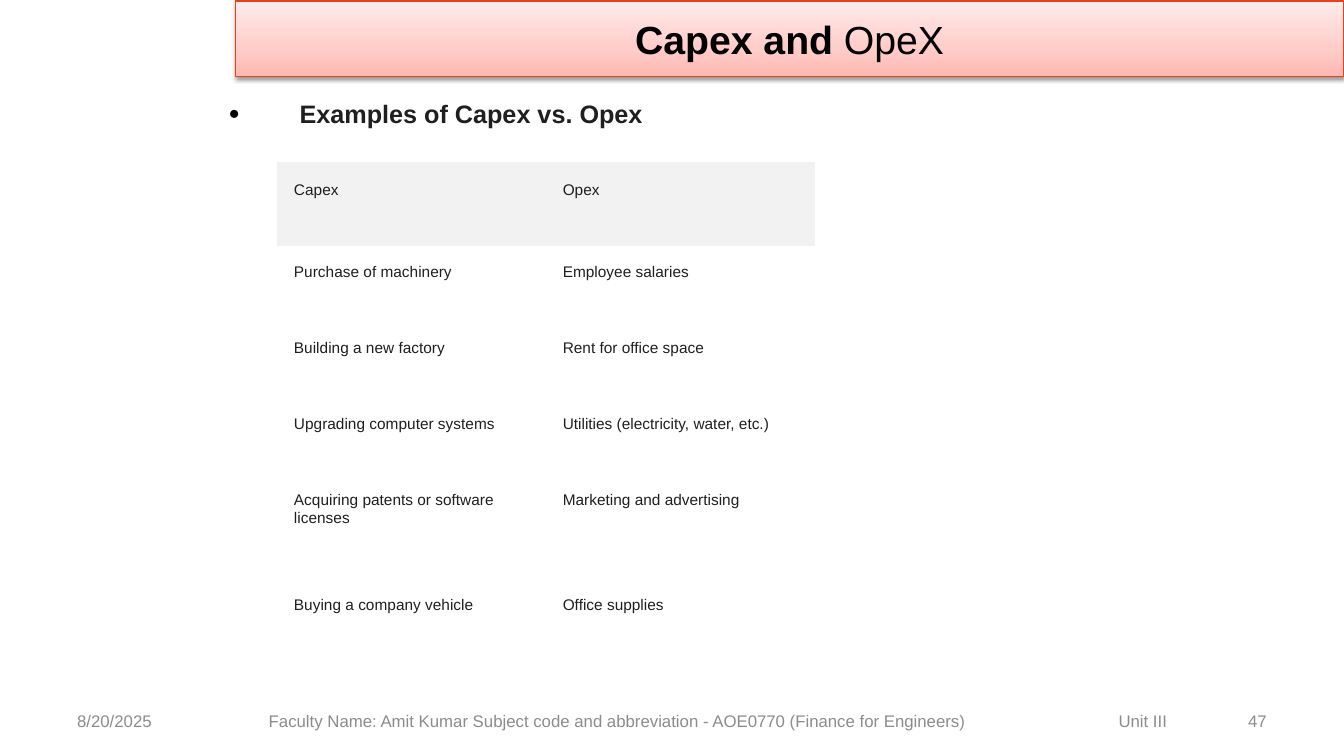
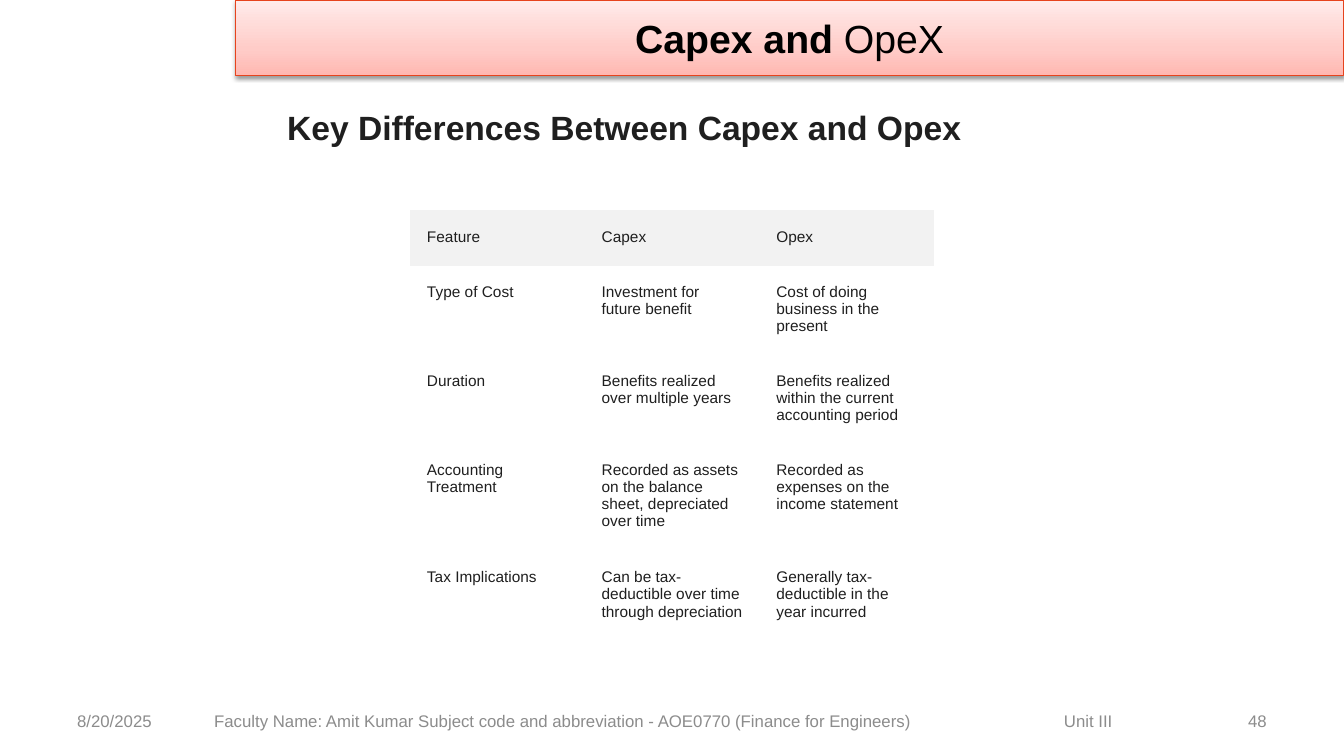
from pptx import Presentation
from pptx.dml.color import RGBColor
from pptx.enum.shapes import MSO_SHAPE
from pptx.enum.text import MSO_ANCHOR, PP_ALIGN
from pptx.oxml import parse_xml
from pptx.oxml.ns import nsdecls
from pptx.util import Pt

RECT = MSO_SHAPE.RECTANGLE
TOP, MIDDLE = MSO_ANCHOR.TOP, MSO_ANCHOR.MIDDLE
LEFT, CENTER, RIGHT = PP_ALIGN.LEFT, PP_ALIGN.CENTER, PP_ALIGN.RIGHT

FONT = "Arial"
BLACK, INK, GREY, HEAD_FILL = "000000", "1F1F1F", "8C8C8C", "F2F2F2"
BAND_LINE = "E6431D"
BAND_STOPS = [(0, "FFB7B1"), (35, "FFCCC8"), (100, "FFEBEA")]
NO_STYLE = "{2D5ABB26-0587-4C30-8999-92F81FD0307C}"

TITLE = {"size": Pt(28), "color": BLACK}
FOOTER = {"size": Pt(12), "color": GREY}
CELL = {"size": Pt(11), "color": INK}
FOOTER_TOP, FOOTER_HEIGHT = 500.5, 28.8
FOOTER_TEXT_WIDTH, UNIT_TAB = 642, 607
CELL_INSET, HEAD_INSET = 12, 13.5

EXAMPLES = [
    ("Capex", "Opex"),
    ("Purchase of machinery", "Employee salaries"),
    ("Building a new factory", "Rent for office space"),
    ("Upgrading computer systems", "Utilities (electricity, water, etc.)"),
    ("Acquiring patents or software licenses", "Marketing and advertising"),
    ("Buying a company vehicle", "Office supplies"),
]
DIFFERENCES = [
    ("Feature", "Capex", "Opex"),
    ("Type of Cost", "Investment for future benefit",
     "Cost of doing business in the present"),
    ("Duration", "Benefits realized over multiple years",
     "Benefits realized within the current accounting period"),
    ("Accounting Treatment",
     "Recorded as assets on the balance sheet, depreciated over time",
     "Recorded as expenses on the income statement"),
    ("Tax Implications", "Can be tax-deductible over time through depreciation",
     "Generally tax-deductible in the year incurred"),
]


def rgb(value):
    return RGBColor.from_string(value)


def box(left, top, width, height):
    return [Pt(v) for v in (left, top, width, height)]


def add_run(p, text, fmt):
    r = p.add_run()
    r.text = text
    r.font.name = FONT
    for name, value in fmt.items():
        if name == "color":
            r.font.color.rgb = rgb(value)
        else:
            setattr(r.font, name, value)


def add_text(s, at, text, fmt, align=LEFT, anchor=MIDDLE):
    tf = s.shapes.add_textbox(*box(*at)).text_frame
    tf.word_wrap = True
    tf.vertical_anchor = anchor
    p = tf.paragraphs[0]
    p.alignment = align
    add_run(p, text, fmt)
    return tf


# Title band with gradient and soft shadow
def add_band(s, top):
    sp = s.shapes.add_shape(RECT, *box(168, top, 792, 54))
    sp.shadow.inherit = False
    stops = "".join(
        f'<a:gs pos="{pos * 1000}"><a:srgbClr val="{color}"/></a:gs>'
        for pos, color in BAND_STOPS)
    sp_pr = sp.element.spPr
    sp_pr.find("{*}prstGeom").addnext(parse_xml(
        f'<a:gradFill {nsdecls("a")} rotWithShape="1"><a:gsLst>{stops}</a:gsLst>'
        '<a:lin ang="16200000" scaled="1"/></a:gradFill>'))
    sp.line.color.rgb = rgb(BAND_LINE)
    sp.line.width = Pt(0.75)
    sp_pr.find("{*}effectLst").append(parse_xml(
        f'<a:outerShdw {nsdecls("a")} blurRad="{Pt(3.1)}" dist="{Pt(1.6)}" '
        'dir="5400000" rotWithShape="0"><a:srgbClr val="000000">'
        '<a:alpha val="38000"/></a:srgbClr></a:outerShdw>'))
    tf = sp.text_frame
    tf.vertical_anchor = MIDDLE
    p = tf.paragraphs[0]
    p.alignment = CENTER
    add_run(p, "Capex and ", {**TITLE, "bold": True})
    add_run(p, "OpeX", {**TITLE, "bold": False})


# Date, course line with the unit at a tab stop, slide number
def add_footer(s, left, width, number):
    row = FOOTER_TOP, FOOTER_HEIGHT
    add_text(s, (48, row[0], 224, row[1]), "8/20/2025", FOOTER)
    add_text(s, (688, row[0], 224, row[1]), str(number), FOOTER, RIGHT)
    tf = add_text(
        s, (left, row[0], width, row[1]),
        "Faculty Name: Amit Kumar Subject code and abbreviation - "
        "AOE0770 (Finance for Engineers)\tUnit III", FOOTER)
    tf.margin_left = Pt((width - FOOTER_TEXT_WIDTH) / 2)
    tf.margin_right = 0
    tf.paragraphs[0]._p.get_or_add_pPr().append(parse_xml(
        f'<a:tabLst {nsdecls("a")}><a:tab pos="{Pt(UNIT_TAB)}" algn="l"/></a:tabLst>'))


def add_bullet(p, indent):
    p_pr = p._p.get_or_add_pPr()
    p_pr.set("marL", str(Pt(indent)))
    p_pr.set("indent", str(-Pt(indent)))
    for tag in ('buClr {}><a:srgbClr val="000000"/></a:buClr>',
                'buSzPct {} val="133000"/>',
                'buFont {} typeface="Times New Roman"/>',
                'buChar {} char="•"/>'):
        p_pr.append(parse_xml("<a:" + tag.format(nsdecls("a"))))


# Plain table: shaded first row, no grid
def add_table(s, left, top, col_width, heights, rows):
    cols = len(rows[0])
    table = s.shapes.add_table(
        len(rows), cols,
        *box(left, top, col_width * cols, sum(heights))).table
    table.first_row = table.horz_banding = False
    table._tbl.tblPr.find("{*}tableStyleId").text = NO_STYLE
    for col in table.columns:
        col.width = Pt(col_width)
    for i, (height, texts) in enumerate(zip(heights, rows)):
        table.rows[i].height = Pt(height)
        inset = CELL_INSET if i else HEAD_INSET
        for j, text in enumerate(texts):
            cell = table.cell(i, j)
            cell.margin_left = cell.margin_right = Pt(CELL_INSET)
            cell.margin_top = cell.margin_bottom = Pt(inset)
            if i:
                cell.fill.background()
            else:
                cell.fill.solid()
                cell.fill.fore_color.rgb = rgb(HEAD_FILL)
            add_run(cell.text_frame.paragraphs[0], text, CELL)


def add_slide(prs, band_top, footer_left, footer_width, number):
    s = prs.slides.add_slide(prs.slide_layouts[6])
    add_band(s, band_top)
    add_footer(s, footer_left, footer_width, number)
    return s


def main():
    prs = Presentation()
    prs.slide_width, prs.slide_height = Pt(960), Pt(540)

    # Examples
    s = add_slide(prs, 0.7, 156, 714, 47)
    tf = add_text(s, (156, 67, 648, 30), "Examples of Capex vs. Opex",
                  {"size": Pt(18), "color": INK, "bold": True}, anchor=TOP)
    add_bullet(tf.paragraphs[0], 51)
    add_table(s, 198, 116, 192, [60, 54.5, 54.5, 54.5, 74.5, 54.5], EXAMPLES)

    # Key differences
    s = add_slide(prs, 0, 96, 756, 48)
    add_text(s, (198, 73, 595, 36), "Key Differences Between Capex and Opex",
             {"size": Pt(24), "color": INK, "bold": True})
    add_table(s, 293, 150, 124.8, [40, 61, 61, 73, 61], DIFFERENCES)

    prs.save("out.pptx")


if __name__ == "__main__":
    main()
